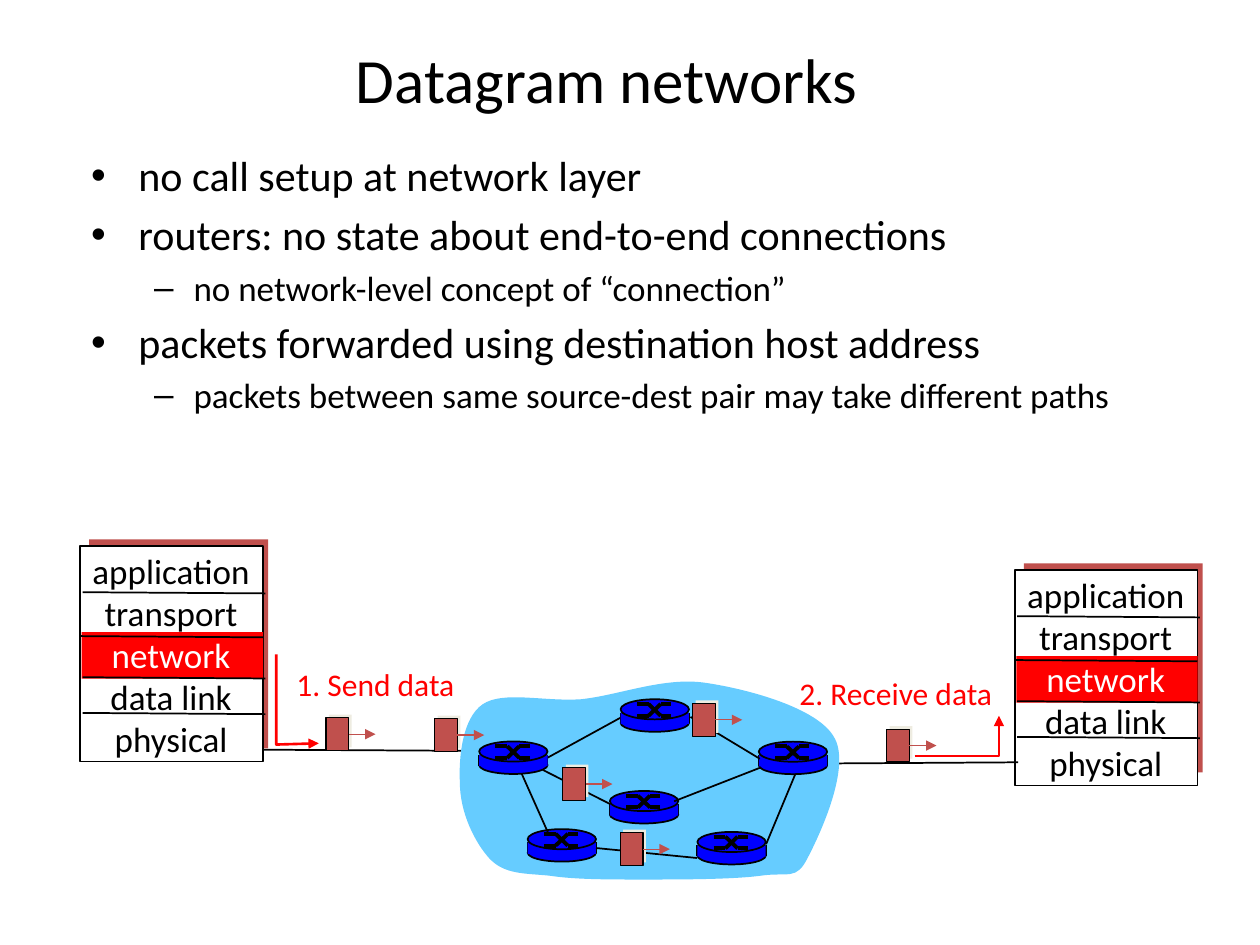
from typing import NamedTuple

from lxml.etree import SubElement
from pptx import Presentation
from pptx.dml.color import RGBColor
from pptx.enum.shapes import MSO_CONNECTOR as CONN, MSO_SHAPE as SHAPE
from pptx.enum.text import MSO_ANCHOR as ANCHOR, MSO_AUTO_SIZE as AUTO, PP_ALIGN as ALIGN
from pptx.oxml.ns import qn
from pptx.util import Pt

BLACK, WHITE, RED = "000000", "FFFFFF", "FF0000"
BRICK, CREAM, BLUE, SKY = "C0504D", "EEECE1", "0000FF", "66CCFF"


class Point(NamedTuple):
    x: float
    y: float


class Box(NamedTuple):
    x: float
    y: float
    w: float
    h: float


class Bullet(NamedTuple):
    text: str
    level: int = 0


class Level(NamedTuple):
    char: str
    size: float
    left: float
    hang: float


LEVELS = [Level("•", 24, 27, 27), Level("–", 20, 58.5, 22.5)]
BULLETS = [
    Bullet("no call setup at network layer"),
    Bullet("routers: no state about end-to-end connections"),
    Bullet("no network-level concept of “connection”", 1),
    Bullet("packets forwarded using destination host address"),
    Bullet("packets between same source-dest pair may take different paths", 1),
]
LAYERS = ["application", "transport", "network", "data link", "physical"]
HOSTS = [Point(45.8, 312.1), Point(579.9, 325.8)]
ROUTERS = [Point(273.8, 423.7), Point(301.5, 473.8), Point(354.6, 399.6),
           Point(348.5, 452), Point(398.5, 475.4), Point(433.6, 423.8)]
FIRST_LINK = (Point(312.5, 433.2), Point(355, 409.9))
LINKS = [
    (Point(394.6, 409.7), Point(434.2, 433.6)),
    (Point(310.3, 440), Point(348.5, 459.4)),
    (Point(385.2, 457.9), Point(434.9, 438.5)),
    (Point(437.8, 482.4), Point(454.3, 442.8)),
    (Point(398.2, 490.3), Point(340.6, 484.6)),
    (Point(313.2, 475.9), Point(298.1, 442.1)),
]
SENT_PACKET, RECEIVED_PACKET = Point(186.2, 410.2), Point(506.7, 416.7)
CLOUD_PACKETS = [Point(248.4, 410.7), Point(395.8, 402), Point(354.4, 475.9), Point(321.6, 438.7)]
# Bezier points: a start, then two controls and an end for each curve.
CLOUD = [Point(*xy) for xy in [
    (262.8, 447.1), (262.1, 432.7), (264.2, 410.4), (275.8, 402.5),
    (287.3, 394.6), (311, 401), (331.9, 399.6), (353.5, 397.4),
    (379.4, 386.6), (403.2, 390.2), (427.7, 393.8), (467.3, 404.6),
    (476.6, 421.2), (486.7, 437.8), (468.7, 476.6), (461.5, 490.3),
    (455, 503.3), (450.7, 498.2), (434.9, 500.4), (419, 502.6),
    (387.4, 502.6), (367.2, 502.6), (347, 502.6), (328.3, 502.6),
    (313.9, 500.4), (299.5, 499), (288.7, 499.7), (280.1, 491),
    (271.4, 481.7), (262.8, 464.4), (262.8, 447.1)]]


def rgb(color: str) -> RGBColor:
    return RGBColor.from_string(color)


def paint(sp, fill: str | None, line: str | None, width: float) -> None:
    sp.shadow.inherit = False
    for part, color in ((sp.fill, fill), (sp.line.fill, line)):
        if color:
            part.solid()
            part.fore_color.rgb = rgb(color)
        else:
            part.background()
    if line:
        sp.line.width = Pt(width)


def add_arrowhead(sp) -> None:
    SubElement(sp.element.spPr.find(qn("a:ln")), qn("a:tailEnd"), type="triangle")


def shape(shapes, kind, box: Box, fill: str, line: str | None = None, width: float = 1):
    sp = shapes.add_shape(kind, *map(Pt, box))
    paint(sp, fill, line, width)
    return sp


def line(shapes, start: Point, end: Point, color: str = BLACK, width: float = 1):
    cn = shapes.add_connector(CONN.STRAIGHT, *map(Pt, (*start, *end)))
    cn.line.color.rgb = rgb(color)
    cn.line.width = Pt(width)
    SubElement(cn.element.spPr, qn("a:effectLst"))
    return cn


def outline(shapes, points: list[Point], closed: bool, fill=None, color=None, width=1):
    fb = shapes.build_freeform(*map(Pt, points[0]))
    fb.add_line_segments([(Pt(p.x), Pt(p.y)) for p in points[1:]], close=closed)
    sp = fb.convert_to_shape()
    paint(sp, fill, color, width)
    return sp


def bend(sp) -> None:
    """Turn each three segments of a freeform into one Bezier curve."""
    segments = list(sp.element.spPr.iter(qn("a:lnTo")))
    for i in range(0, len(segments) - 2, 3):
        first = segments[i]
        parent = first.getparent()
        bezier = SubElement(parent, qn("a:cubicBezTo"))
        parent.insert(parent.index(first), bezier)
        for segment in segments[i:i + 3]:
            bezier.append(segment[0])
            parent.remove(segment)


def text_box(shapes, box: Box, wrap: bool = True, anchor=ANCHOR.TOP):
    tf = shapes.add_textbox(*map(Pt, box)).text_frame
    tf.word_wrap = wrap
    tf.vertical_anchor = anchor
    return tf


def add_run(p, text: str, size: float, color: str = BLACK) -> None:
    r = p.add_run()
    r.text = text
    r.font.name, r.font.size = "Calibri", Pt(size)
    r.font.color.rgb = rgb(color)


def label(shapes, box: Box, text: str, size: float, color: str, **options) -> None:
    tf = text_box(shapes, box, **options)
    p = tf.paragraphs[0]
    p.alignment = ALIGN.CENTER
    add_run(p, text, size, color)


def bullet_list(shapes, box: Box) -> None:
    tf = text_box(shapes, box)
    for i, bullet in enumerate(BULLETS):
        level = LEVELS[bullet.level]
        p = tf.add_paragraph() if i else tf.paragraphs[0]
        p.level = bullet.level
        ppr = p._p.get_or_add_pPr()
        ppr.set("marL", str(Pt(level.left)))
        ppr.set("indent", str(-Pt(level.hang)))
        if i:
            SubElement(SubElement(ppr, qn("a:spcBef")), qn("a:spcPct"), val="20000")
        SubElement(ppr, qn("a:buFont"), typeface="Arial")
        SubElement(ppr, qn("a:buChar"), char=level.char)
        add_run(p, bullet.text, level.size)


def host(shapes, at: Point) -> None:
    x, y = at
    shape(shapes, SHAPE.RECTANGLE, Box(x + 5.2, y - 3.9, 102.2, 119.5), BRICK)
    shape(shapes, SHAPE.RECTANGLE, Box(x, y, 104.4, 123.1), WHITE, BLACK)
    shape(shapes, SHAPE.RECTANGLE, Box(x + 0.9, y + 49.2, 103.7, 26.6), RED)
    tf = text_box(shapes, Box(x - 9.6, y - 1.4, 123.1, 127.4))
    tf.auto_size = AUTO.SHAPE_TO_FIT_TEXT
    for i, layer in enumerate(LAYERS):
        p = tf.add_paragraph() if i else tf.paragraphs[0]
        p.alignment = ALIGN.CENTER
        add_run(p, layer, 20, WHITE if layer == "network" else BLACK)
    for dx, dy in ((0, 51.4), (1.4, 74.9), (1.4, 95.3), (1.4, 26.3)):
        line(shapes, Point(x + dx, y + dy), Point(x + dx + 104.4, y + dy + 0.7))


def router(shapes, at: Point) -> None:
    x, y = at
    w = 39.1
    shape(shapes, SHAPE.OVAL, Box(x, y + 8.5, w, 10.1), BLUE, BLACK)
    for side in (x, x + w):
        line(shapes, Point(side, y + 7.6), Point(side, y + 13.8))
    shape(shapes, SHAPE.RECTANGLE, Box(x, y + 7.6, w, 6.5), BLUE)
    shape(shapes, SHAPE.OVAL, Box(x, y, w, 11.5), BLUE, BLACK)
    left, mid, mid_end, right = (x + dx for dx in (9.3, 16, 23, 28.9))
    top, bottom = y + 2.7, y + 9.4
    for a, b in ((top, bottom), (bottom, top)):
        line(shapes, Point(left, a), Point(mid, a), width=2.25)
        line(shapes, Point(mid, a), Point(mid_end, b), width=2.25)
        line(shapes, Point(mid_end, b), Point(right, b), width=2.25)


def packet(shapes, at: Point) -> None:
    x, y = at
    shape(shapes, SHAPE.RECTANGLE, Box(x + 1.7, y - 1.8, 13, 18.7), CREAM)
    sp = shape(shapes, SHAPE.RECTANGLE, Box(x, y, 13, 18.7), BRICK, BLACK, 0.75)
    arrow = line(shapes, Point(x + 13, y + 9.35), Point(x + 28.4, y + 9.35), BRICK, 0.75)
    arrow.begin_connect(sp, 3)
    add_arrowhead(arrow)


def network(shapes) -> None:
    bend(outline(shapes, CLOUD, True, fill=SKY))
    line(shapes, *FIRST_LINK)
    for at in ROUTERS:
        router(shapes, at)
    for link in LINKS:
        line(shapes, *link)
    for at in CLOUD_PACKETS:
        packet(shapes, at)


def main() -> None:
    prs = Presentation()
    prs.slide_width, prs.slide_height = Pt(720), Pt(540)
    s = prs.slides.add_slide(prs.slide_layouts[6])
    shapes = s.shapes
    label(shapes, Box(40.7, 0, 612, 90), "Datagram networks", 36, BLACK, anchor=ANCHOR.MIDDLE)
    bullet_list(shapes, Box(45, 82.1, 612.7, 179.3))
    line(shapes, Point(149.8, 428.4), Point(273.6, 429.1))
    for at in HOSTS:
        host(shapes.add_group_shape().shapes, at)
    line(shapes, Point(581.8, 435.6), Point(470.9, 436.3))
    label(shapes, Box(155.5, 376.6, 118.1, 28.8), "1. Send data", 18, RED, wrap=False)
    label(shapes, Box(440.6, 381.6, 142.6, 28.8), "2. Receive data", 18, RED, wrap=False)
    for route in ([Point(157.9, 373.9), Point(157.9, 425.5), Point(182.2, 424.8)],
                  [Point(522.7, 432), Point(570.8, 432), Point(570.8, 409)]):
        add_arrowhead(outline(shapes, route, False, color=RED, width=1.5))
    packet(shapes.add_group_shape().shapes, SENT_PACKET)
    network(shapes.add_group_shape().shapes)
    packet(shapes.add_group_shape().shapes, RECEIVED_PACKET)
    prs.save("out.pptx")


if __name__ == "__main__":
    main()
